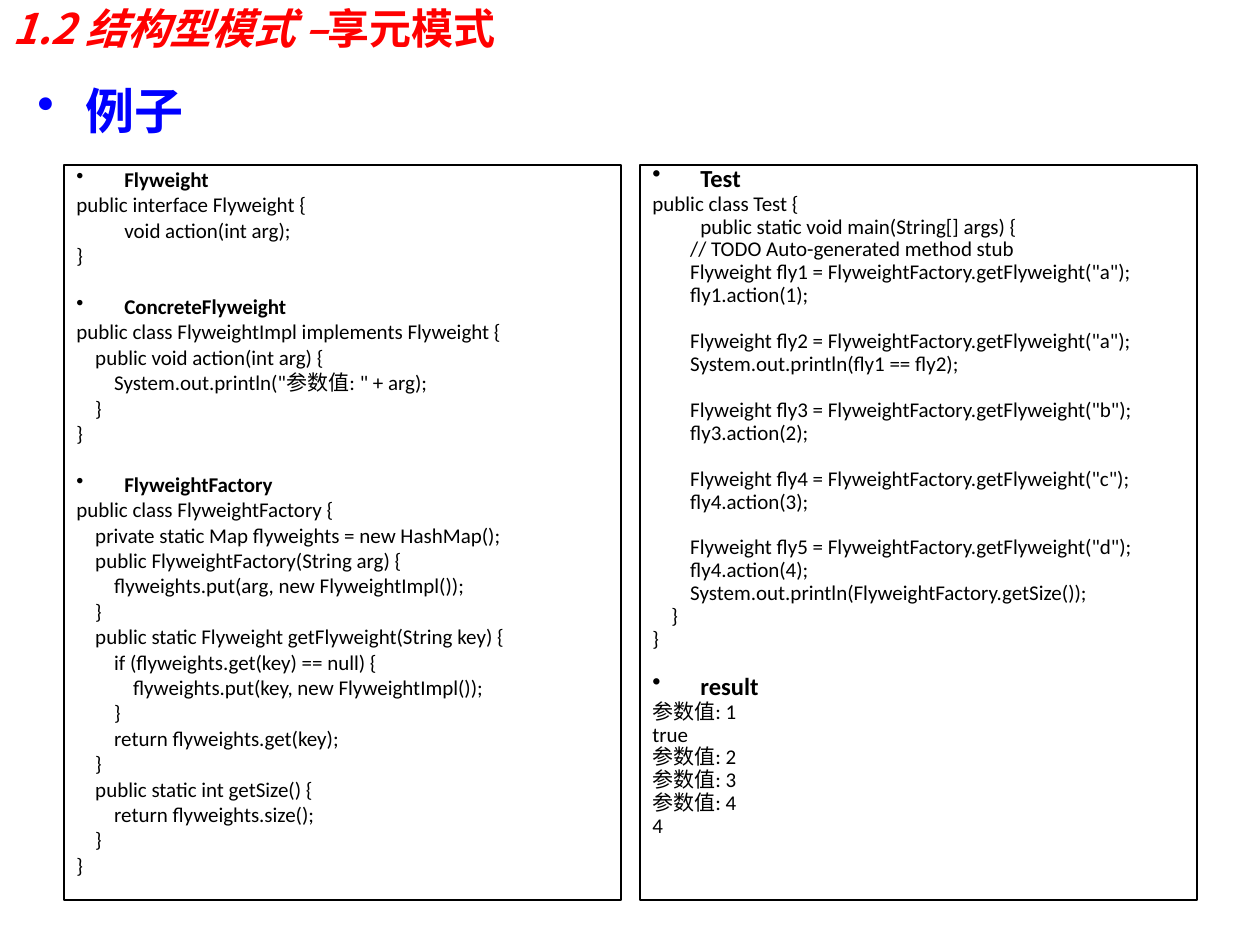
from lxml.etree import SubElement
from pptx import Presentation
from pptx.dml.color import RGBColor
from pptx.enum.shapes import MSO_SHAPE
from pptx.enum.text import MSO_ANCHOR, PP_ALIGN
from pptx.oxml.ns import qn
from pptx.util import Emu, Pt

PX = 914400 / 126
RED, BLUE, BLACK = "FF0000", "0000FF", "000000"
LATIN, HAN = "Calibri", "Noto Sans CJK SC"
INDENT = 48

TITLE = [("1.2 结构型模式 –", HAN, True), ("享元模式", LATIN, False)]
TOPIC = "例子"

# Each section is a heading and its lines; an empty line becomes a gap.
CLASSES = [
    ("Flyweight", """\
public interface Flyweight {
\tvoid action(int arg);
}"""),
    ("ConcreteFlyweight", """\
public class FlyweightImpl implements Flyweight {
    public void action(int arg) {
        System.out.println("参数值: " + arg);
    }
}"""),
    ("FlyweightFactory", """\
public class FlyweightFactory {
    private static Map flyweights = new HashMap();
    public FlyweightFactory(String arg) {
        flyweights.put(arg, new FlyweightImpl());
    }
    public static Flyweight getFlyweight(String key) {
        if (flyweights.get(key) == null) {
            flyweights.put(key, new FlyweightImpl());
        }
        return flyweights.get(key);
    }
    public static int getSize() {
        return flyweights.size();
    }
}"""),
]
TESTS = [
    ("Test", """\
public class Test {
\tpublic static void main(String[] args) {
        // TODO Auto-generated method stub
        Flyweight fly1 = FlyweightFactory.getFlyweight("a");
        fly1.action(1);

        Flyweight fly2 = FlyweightFactory.getFlyweight("a");
        System.out.println(fly1 == fly2);

        Flyweight fly3 = FlyweightFactory.getFlyweight("b");
        fly3.action(2);

        Flyweight fly4 = FlyweightFactory.getFlyweight("c");
        fly4.action(3);

        Flyweight fly5 = FlyweightFactory.getFlyweight("d");
        fly4.action(4);
        System.out.println(FlyweightFactory.getSize());
    }
}"""),
    ("result", """\
参数值: 1
true
参数值: 2
参数值: 3
参数值: 4
4"""),
]
# sections, left, line spacing, heading size, height of an empty line in points
PANELS = [(CLASSES, 64, 0.8, 12, 14.6), (TESTS, 640, 0.7, 14, 13.1)]
TOP, WIDTH, HEIGHT = 165, 557, 735
CODE_SIZE = 12


def px(*values):
    return [Emu(round(v * PX)) for v in values]


def color(code):
    return RGBColor.from_string(code)


def style(font, size, code, bold=False, name=LATIN):
    font.name, font.size, font.bold = name, Pt(size), bold
    font.color.rgb = color(code)


def hang(para, spacing, bullet=None):
    """Give a hanging indent and, when a colour is passed, a bullet."""
    props = para._p.get_or_add_pPr()
    (step,) = px(INDENT)
    props.set("marL", str(step))
    props.set("indent", str(-step))
    if bullet:
        tint = SubElement(props, qn("a:buClr"))
        SubElement(tint, qn("a:srgbClr"), val=bullet)
        SubElement(props, qn("a:buChar"), char="•")
    para.line_spacing = spacing
    para.alignment = PP_ALIGN.LEFT


def add_text(slide, *box):
    frame = slide.shapes.add_textbox(*px(*box)).text_frame
    frame.word_wrap = True
    return frame


def add_panel(slide, sections, left, spacing, head, blank):
    box = slide.shapes.add_shape(MSO_SHAPE.RECTANGLE, *px(left, TOP, WIDTH, HEIGHT))
    box.shadow.inherit = False
    box.fill.background()
    box.line.color.rgb = color(BLACK)
    box.line.width = Pt(0.75)
    frame = box.text_frame
    frame.word_wrap = True
    frame.vertical_anchor = MSO_ANCHOR.TOP

    rows = []
    for name, code in sections:
        if rows:
            rows.append(("", False))
        rows.append((name, True))
        rows += [(line, False) for line in code.split("\n")]

    gap = 0
    for i, (text, heading) in enumerate(rows):
        if not text:
            gap = blank
            continue
        para = frame.add_paragraph() if i else frame.paragraphs[0]
        para.text = text
        hang(para, spacing, BLACK if heading else None)
        size = head if heading else CODE_SIZE
        para.space_before = Pt(size / 4 + gap if i else 0)
        style(para.runs[0].font, size, BLACK, heading)
        gap = 0


def main():
    deck = Presentation()
    deck.slide_width, deck.slide_height = px(1260, 945)
    slide = deck.slides.add_slide(deck.slide_layouts[6])

    title = add_text(slide, 0, 0, 1134, 55)
    title.vertical_anchor = MSO_ANCHOR.MIDDLE
    for text, name, italic in TITLE:
        run = title.paragraphs[0].add_run()
        run.text = text
        style(run.font, 24, RED, True, name)
        run.font.italic = italic

    topic = add_text(slide, 25, 86, 446, 131).paragraphs[0]
    topic.text = TOPIC
    hang(topic, 0.8, BLUE)
    style(topic.runs[0].font, 28, BLUE, True)

    for panel in PANELS:
        add_panel(slide, *panel)
    deck.save("out.pptx")


if __name__ == "__main__":
    main()
